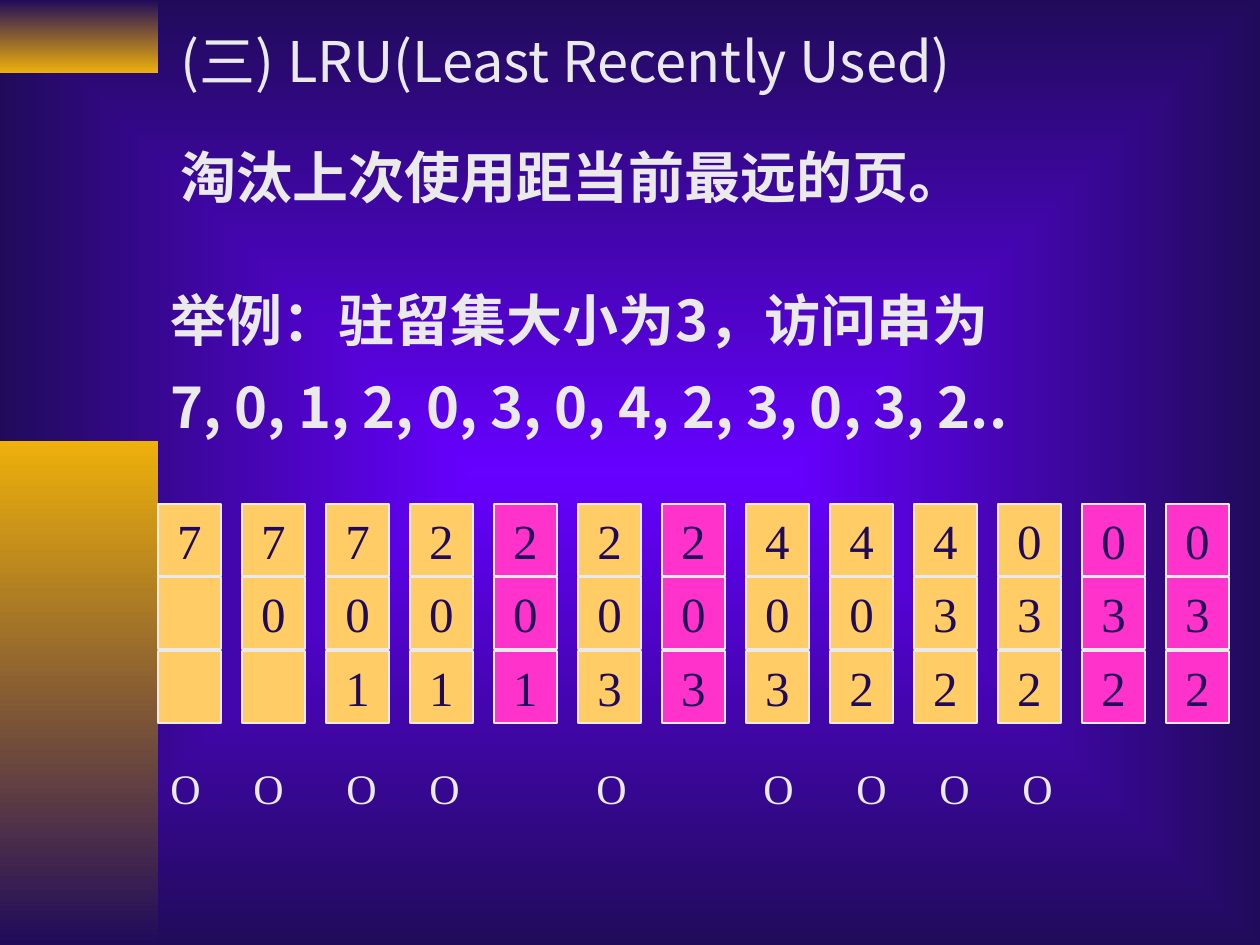
import lxml.etree
import pptx
import pptx.dml.color
import pptx.enum.shapes
import pptx.enum.text
import pptx.oxml.ns
import pptx.util

PX = 914400 / 126
SANS = "Noto Sans CJK SC"
SERIF = "Times New Roman"
NAVY, GOLD, PALE = "200B5B", "EEB00B", "EAEAEA"
qn = pptx.oxml.ns.qn


def color(value):
    return pptx.dml.color.RGBColor.from_string(value)


def write(shape, box, lines, size, font, ink, bold=False, align="LEFT", gap=0):
    shape.left, shape.top, shape.width, shape.height = [round(n * PX) for n in box]
    frame = shape.text_frame
    frame.word_wrap = True
    frame.auto_size = pptx.enum.text.MSO_AUTO_SIZE.NONE
    frame.vertical_anchor = pptx.enum.text.MSO_ANCHOR.MIDDLE
    for index, line in enumerate(lines):
        paragraph = frame.add_paragraph() if index else frame.paragraphs[0]
        paragraph.alignment = getattr(pptx.enum.text.PP_ALIGN, align)
        paragraph.space_before = pptx.util.Pt(gap if index else 0)
        run = paragraph.add_run()
        run.text = line
        run.font.size = pptx.util.Pt(size)
        run.font.bold = bold
        run.font.color.rgb = color(ink)
        run.font.name = font
        east_asian = lxml.etree.SubElement(run._r.get_or_add_rPr(), qn("a:ea"))
        east_asian.set("typeface", font)


deck = pptx.Presentation()
deck.slide_width = round(1260 * PX)
deck.slide_height = round(945 * PX)
slide = deck.slides.add_slide(deck.slide_layouts[5])
rectangle = pptx.enum.shapes.MSO_SHAPE.RECTANGLE

backdrop = slide.background.fill
backdrop.gradient()
for stop, shade in zip(backdrop.gradient_stops, ("6600FF", NAVY)):
    stop.color.rgb = color(shade)
gradient = slide._element.find(".//" + qn("a:gradFill"))
gradient.remove(gradient.find(qn("a:lin")))
glow = lxml.etree.SubElement(gradient, qn("a:path"), {"path": "rect"})
center = lxml.etree.SubElement(glow, qn("a:fillToRect"))
for side in "ltrb":
    center.set(side, "50000")

for top, height, shades in ((0, 73, (NAVY, GOLD)), (441, 504, (GOLD, NAVY))):
    band = slide.shapes.add_shape(rectangle, 0, round(top * PX), round(158 * PX), round(height * PX))
    band.shadow.inherit = False
    band.line.fill.background()
    band.fill.gradient()
    band.fill.gradient_angle = 270
    for stop, shade in zip(band.fill.gradient_stops, shades):
        stop.color.rgb = color(shade)

write(slide.shapes.title, (168, 20, 1092, 81), ["(三) LRU(Least Recently Used)"], 32, SANS, PALE)
rule = slide.shapes.add_textbox(0, 0, 0, 0)
write(rule, (168, 136, 850, 81), ["淘汰上次使用距当前最远的页。"], 32, SANS, PALE, bold=True)
example = slide.shapes.add_textbox(0, 0, 0, 0)
write(example, (158, 271, 1102, 183),
      ["举例：驻留集大小为3，访问串为", "7, 0, 1, 2, 0, 3, 0, 4, 2, 3, 0, 3, 2.."],
      32, SANS, PALE, bold=True, gap=11)

frames = ["7", "70", "701", "201", "201", "203", "203",
          "403", "402", "432", "032", "032", "032"]
hits = (4, 6, 11, 12)
for step, pages in enumerate(frames):
    for row in range(3):
        page = slide.shapes.add_shape(rectangle, 0, 0, 0, 0)
        page.shadow.inherit = False
        page.fill.solid()
        page.fill.fore_color.rgb = color("FF33CC" if step in hits else "FFCC66")
        page.line.color.rgb = color(PALE)
        page.line.width = pptx.util.Pt(0.75)
        box = (158 + 84 * step, 504 + 147 * row // 2, 63, 72)
        write(page, box, pages[row:row + 1], 28, SERIF, NAVY, align="CENTER")

faults = slide.shapes.add_textbox(0, 0, 0, 0)
stops = (83, 176, 259, 426, 593, 686, 769, 852)
properties = faults.text_frame.paragraphs[0]._p.get_or_add_pPr()
tabs = lxml.etree.SubElement(properties, qn("a:tabLst"))
for stop in stops:
    lxml.etree.SubElement(tabs, qn("a:tab"), {"pos": str(round(stop * PX)), "algn": "l"})
write(faults, (158, 756, 1092, 63), ["\t".join("O" * (len(stops) + 1))], 24, SERIF, PALE)

deck.save("out.pptx")
